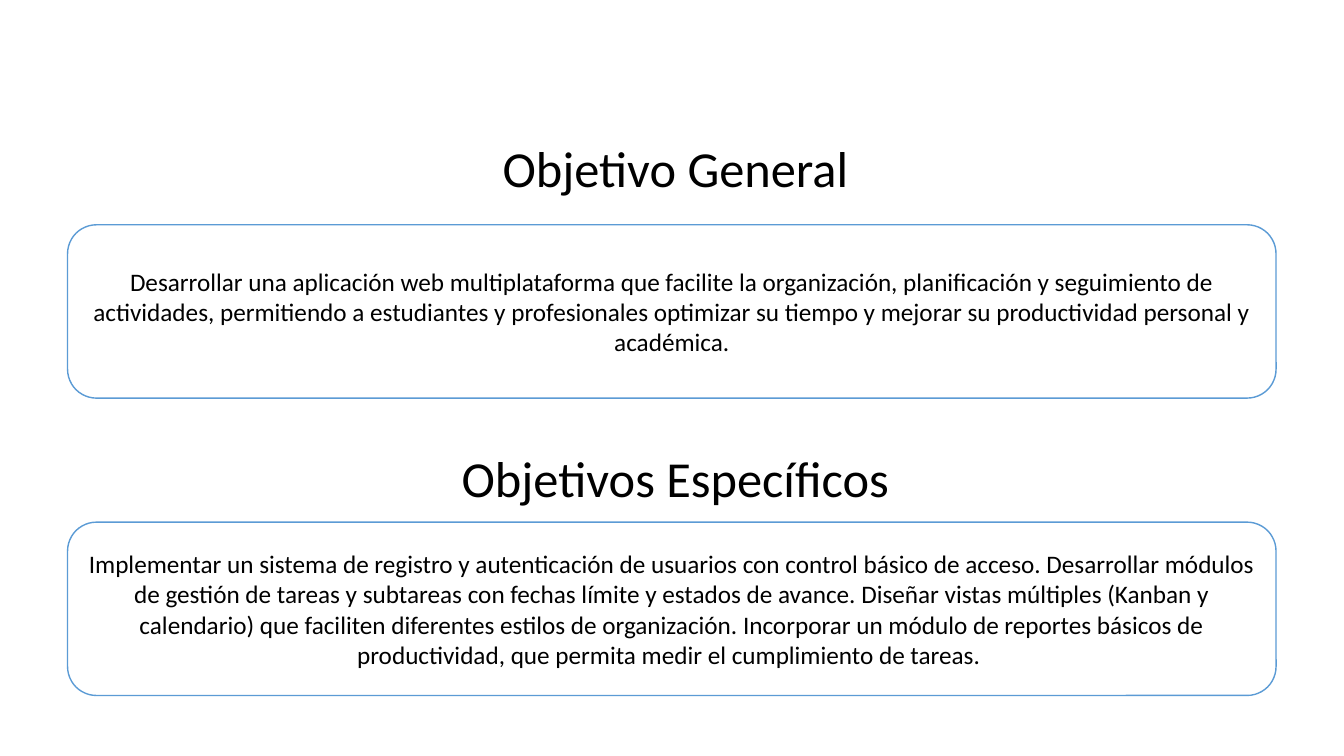
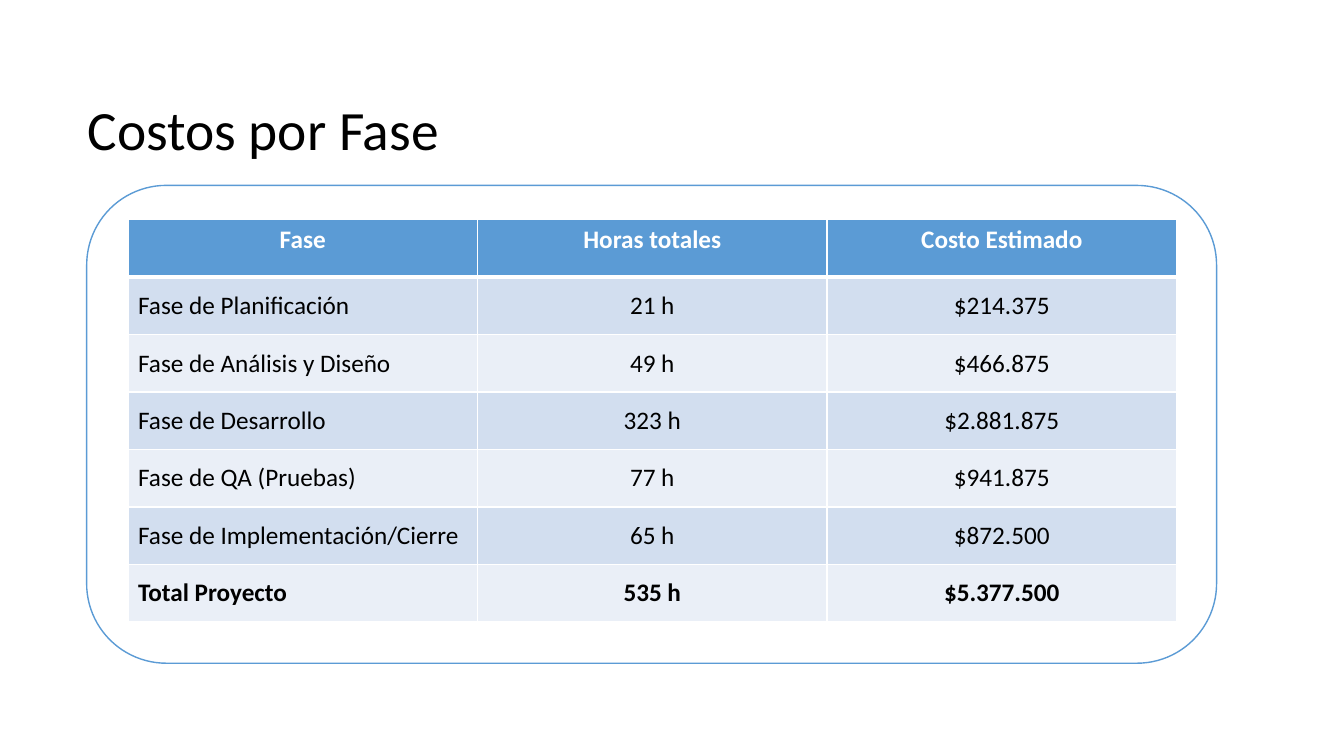
import pptx
import pptx.dml.color
import pptx.enum.shapes
import pptx.enum.text
import pptx.oxml
import pptx.oxml.ns
import pptx.util

COLOURS = {"white": "FFFFFF", "black": "000000", "blue": "5B9BD5",
           "band_dark": "D2DEEF", "band_light": "EAEFF7"}
FONT = "Calibri"
WIDTH = pptx.util.Inches(13.333)
HEIGHT = pptx.util.Inches(7.5)
ALIGN = pptx.enum.text.PP_ALIGN
ANCHOR = pptx.enum.text.MSO_ANCHOR
PANEL_HEIGHT = 22.93

SECTIONS = [
    ((1.28, 17.47, 97.95, 35.2), "Objetivo General",
     "Desarrollar una aplicación web multiplataforma que facilite la organización, "
     "planificación y seguimiento de actividades, permitiendo a estudiantes y "
     "profesionales optimizar su tiempo y mejorar su productividad personal y académica."),
    ((1.28, 58.53, 97.95, 33.47), "Objetivos Específicos",
     "Implementar un sistema de registro y autenticación de usuarios con control básico "
     "de acceso. Desarrollar módulos de gestión de tareas y subtareas con fechas límite "
     "y estados de avance. Diseñar vistas múltiples (Kanban y calendario) que faciliten "
     "diferentes estilos de organización. Incorporar un módulo de reportes básicos de "
     "productividad, que permita medir el cumplimiento de tareas. "),
]
COSTS = [
    ("Fase", "Horas totales", "Costo Estimado"),
    ("Fase de Planificación", "21 h", "$214.375"),
    ("Fase de Análisis y Diseño", "49 h", "$466.875"),
    ("Fase de Desarrollo", "323 h", "$2.881.875"),
    ("Fase de QA (Pruebas)", "77 h", "$941.875"),
    ("Fase de Implementación/Cierre", "65 h", "$872.500"),
    ("Total Proyecto", "535 h", "$5.377.500"),
]


def colour(name):
    """Return the named colour of the deck."""
    return pptx.dml.color.RGBColor.from_string(COLOURS[name])


def lengths(box):
    """Turn a box in percent of the slide into lengths."""
    left, top, width, height = box
    return (int(WIDTH * left / 100), int(HEIGHT * top / 100),
            int(WIDTH * width / 100), int(HEIGHT * height / 100))


def inside(box, left, top, width, height):
    """Return the box that covers the given percents of another box."""
    return (box[0] + box[2] * left / 100, box[1] + box[3] * top / 100,
            box[2] * width / 100, box[3] * height / 100)


def write(frame, text, size=18, ink="black", bold=False, align=ALIGN.CENTER, spacing=None):
    """Write one formatted paragraph into a text frame."""
    para = frame.paragraphs[0]
    para.alignment = align
    if spacing:
        para.line_spacing = spacing
    span = para.add_run()
    span.text = text
    span.font.name = FONT
    span.font.size = pptx.util.Pt(size)
    span.font.bold = bold
    span.font.color.rgb = colour(ink)


def add_title(page, box, text, anchor=ANCHOR.TOP, **style):
    """Add a title text box."""
    frame = page.shapes.add_textbox(*lengths(box)).text_frame
    frame.word_wrap = True
    frame.vertical_anchor = anchor
    write(frame, text, **style)


def add_panel(page, box, text=None):
    """Add a white rounded panel with a blue outline."""
    panel = page.shapes.add_shape(
        pptx.enum.shapes.MSO_SHAPE.ROUNDED_RECTANGLE, *lengths(box))
    panel.shadow.inherit = False
    panel.fill.solid()
    panel.fill.fore_color.rgb = colour("white")
    panel.line.color.rgb = colour("blue")
    panel.line.width = pptx.util.Pt(1)
    if text:
        panel.text_frame.word_wrap = True
        panel.text_frame.vertical_anchor = ANCHOR.MIDDLE
        write(panel.text_frame, text)


def add_section(page, box, heading, text):
    """Add a heading at the top of a box and a panel at its bottom."""
    left, top, width, height = box
    add_title(page, (left, top, width, 9.47), heading, size=36)
    panel_top = top + height - PANEL_HEIGHT
    add_panel(page, (left + 3.75, panel_top, width - 8.03, PANEL_HEIGHT), text)


def set_borders(cell, **widths):
    """Give a cell white borders, 1 point wide unless stated."""
    properties = cell._tc.get_or_add_tcPr()
    for side in ("lnL", "lnR", "lnT", "lnB"):
        width = pptx.util.Pt(widths.get(side, 1))
        properties.append(pptx.oxml.parse_xml(
            f'<a:{side} {pptx.oxml.ns.nsdecls("a")} w="{width}"><a:solidFill>'
            f'<a:srgbClr val="{COLOURS["white"]}"/></a:solidFill></a:{side}>'))


def add_cost_table(page, box, rows):
    """Add a banded table with a header row and a bold total."""
    place = lengths(box)
    table = page.shapes.add_table(len(rows), len(rows[0]), *place).table
    for column in table.columns:
        column.width = place[2] // len(rows[0])
    for number, row in enumerate(rows):
        header = number == 0
        table.rows[number].height = place[3] // len(rows)
        fill = "blue" if header else "band_dark" if number % 2 else "band_light"
        edges = {0: {"lnB": 3}, 1: {"lnT": 3}}.get(number, {})
        for position, text in enumerate(row):
            cell = table.cell(number, position)
            set_borders(cell, **edges)
            cell.fill.solid()
            cell.fill.fore_color.rgb = colour(fill)
            cell.vertical_anchor = ANCHOR.TOP if header else ANCHOR.MIDDLE
            write(cell.text_frame, text, ink="white" if header else "black",
                  bold=number in (0, len(rows) - 1),
                  align=ALIGN.CENTER if header or position else ALIGN.LEFT)


def add_cost_panel(page, box):
    """Add the panel that frames the cost table."""
    add_panel(page, box)
    add_cost_table(page, inside(box, 3.66, 7.17, 92.8, 84.2), COSTS)


def main():
    """Build and save the deck."""
    deck = pptx.Presentation()
    deck.slide_width, deck.slide_height = WIDTH, HEIGHT
    blank = deck.slide_layouts[6]
    goals = deck.slides.add_slide(blank)
    for box, heading, text in SECTIONS:
        add_section(goals, box, heading, text)
    costs = deck.slides.add_slide(blank)
    add_title(costs, (5.78, 13.2, 86.25, 8.53), "Costos por Fase", ANCHOR.MIDDLE,
              size=39.6, align=ALIGN.LEFT, spacing=0.9)
    add_cost_panel(costs, (6.45, 24.53, 84.07, 63.2))
    deck.save("out.pptx")


if __name__ == "__main__":
    main()
